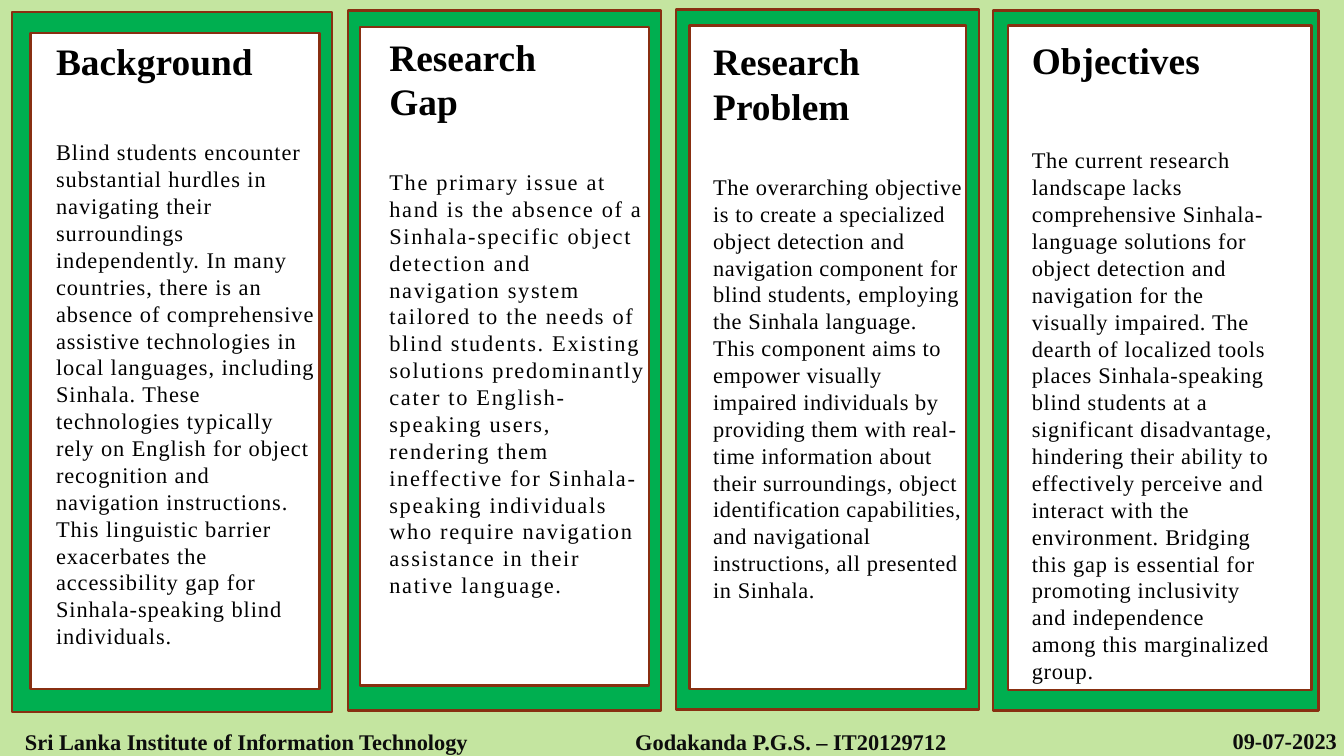
from pptx import Presentation
from pptx.dml.color import RGBColor
from pptx.enum.shapes import MSO_SHAPE
from pptx.enum.text import MSO_ANCHOR, PP_ALIGN
from pptx.oxml.ns import qn
from pptx.util import Cm, Pt
from lxml import etree

RECTANGLE = MSO_SHAPE.RECTANGLE
TOP = MSO_ANCHOR.TOP
LEFT, CENTER, RIGHT = PP_ALIGN.LEFT, PP_ALIGN.CENTER, PP_ALIGN.RIGHT

FONT = "Times New Roman"
SLIDE_SIZE = (25.4, 14.29)
BLACK, INK, WHITE = "000000", "0D0D0D", "FFFFFF"
LIME, GREEN, BROWN = "92D050", "00AF50", "882F11"
LINE_FACTOR = 1.2

# Each column: frame, card, insets (left, top, right), title lines,
# title spacing, space before body, body spacing, body.
COLUMNS = [
    dict(
        frame=(0.23, 0.23, 6.05, 13.23), card=(0.58, 0.63, 5.46, 12.4),
        insets=(0.48, 0.1, 0.05), title=["Background"],
        gap=29.6, tracking=0.5,
        body="Blind students encounter substantial hurdles in navigating their "
             "surroundings independently. In many countries, there is an absence of "
             "comprehensive assistive technologies in local languages, including "
             "Sinhala. These technologies typically rely on English for object "
             "recognition and navigation instructions. This linguistic barrier "
             "exacerbates the accessibility gap for Sinhala-speaking blind individuals.",
    ),
    dict(
        frame=(6.58, 0.2, 5.92, 13.23), card=(6.81, 0.51, 5.46, 12.45),
        insets=(0.55, 0.13, 0.03), title=["Research", "Gap"],
        gap=24, tracking=0.9,
        body="The primary issue at hand is the absence of a Sinhala-specific object "
             "detection and navigation system tailored to the needs of blind students. "
             "Existing solutions predominantly cater to English-speaking users, "
             "rendering them ineffective for Sinhala-speaking individuals who require "
             "navigation assistance in their native language.",
    ),
    dict(
        frame=(12.78, 0.18, 5.72, 13.23), card=(13.03, 0.48, 5.23, 12.55),
        insets=(0.45, 0.25, 0.04), title=["Research", "Problem"],
        gap=24, tracking=0.3,
        body="The overarching objective is to create a specialized object detection "
             "and navigation component for blind students, employing the Sinhala "
             "language. This component aims to empower visually impaired individuals "
             "by providing them with real-time information about their surroundings, "
             "object identification capabilities, and navigational instructions, all "
             "presented in Sinhala.",
    ),
    dict(
        frame=(18.77, 0.2, 6.15, 13.23), card=(19.05, 0.48, 5.74, 12.57),
        insets=(0.45, 0.23, 0.69), title=["Objectives"],
        gap=34.4, tracking=0.4,
        body="The current research landscape lacks comprehensive Sinhala-language "
             "solutions for object detection and navigation for the visually impaired. "
             "The dearth of localized tools places Sinhala-speaking blind students at "
             "a significant disadvantage, hindering their ability to effectively "
             "perceive and interact with the environment. Bridging this gap is "
             "essential for promoting inclusivity and independence among this "
             "marginalized group.",
    ),
]

FOOTERS = [
    ("Sri Lanka Institute of Information Technology", (0, 13.74, 9.3, 0.55), CENTER),
    ("Godakanda P.G.S. – IT20129712", (9.32, 13.74, 11.23, 0.55), CENTER),
    ("09-07-2023", (20.52, 13.71, 4.75, 0.55), RIGHT),
]


def color(hex_text):
    return RGBColor.from_string(hex_text)


def add_panel(slide, bounds, fill, border=None):
    panel = slide.shapes.add_shape(RECTANGLE, *map(Cm, bounds))
    panel.shadow.inherit = False
    panel.fill.solid()
    panel.fill.fore_color.rgb = color(fill)
    if border:
        panel.line.color.rgb = color(border)
        panel.line.width = Pt(1.25)
    else:
        panel.line.fill.background()
    return panel


def add_backdrop(slide):
    backdrop = add_panel(slide, (0, 0, *SLIDE_SIZE), LIME)
    tint = backdrop.fill._xPr.find(qn("a:solidFill"))[0]
    etree.SubElement(tint, qn("a:alpha"), val="54000")


def prepare_frame(frame, left, top, right):
    frame.word_wrap = True
    frame.vertical_anchor = TOP
    frame.margin_left, frame.margin_top = Cm(left), Cm(top)
    frame.margin_right, frame.margin_bottom = Cm(right), 0


def write(paragraph, text, size, ink, bold=True, align=LEFT, tracking=0):
    run = paragraph.add_run()
    run.text = text
    if tracking:
        run._r.get_or_add_rPr().set("spc", str(round(tracking * 100)))
    paragraph.alignment = align
    paragraph.line_spacing = Pt(size * LINE_FACTOR)
    paragraph.font.name = FONT
    paragraph.font.size = Pt(size)
    paragraph.font.bold = bold
    paragraph.font.color.rgb = color(ink)


def add_column(slide, column):
    add_panel(slide, column["frame"], GREEN, BROWN)
    card = add_panel(slide, column["card"], WHITE, BROWN).text_frame
    prepare_frame(card, *column["insets"])
    first, *others = column["title"]
    write(card.paragraphs[0], first, 20, BLACK)
    for line in others:
        write(card.add_paragraph(), line, 20, BLACK)
    body = card.add_paragraph()
    write(body, column["body"], 12, BLACK, bold=False, tracking=column["tracking"])
    body.space_before = Pt(column["gap"])


def add_footer(slide, text, bounds, align):
    footer = slide.shapes.add_textbox(*map(Cm, bounds)).text_frame
    prepare_frame(footer, 0.03, 0.03, 0)
    write(footer.paragraphs[0], text, 12, INK, align=align)


def main():
    deck = Presentation()
    deck.slide_width, deck.slide_height = map(Cm, SLIDE_SIZE)
    slide = deck.slides.add_slide(deck.slide_layouts[6])
    add_backdrop(slide)
    for column in COLUMNS:
        add_column(slide, column)
    for footer in FOOTERS:
        add_footer(slide, *footer)
    deck.save("out.pptx")


if __name__ == "__main__":
    main()
